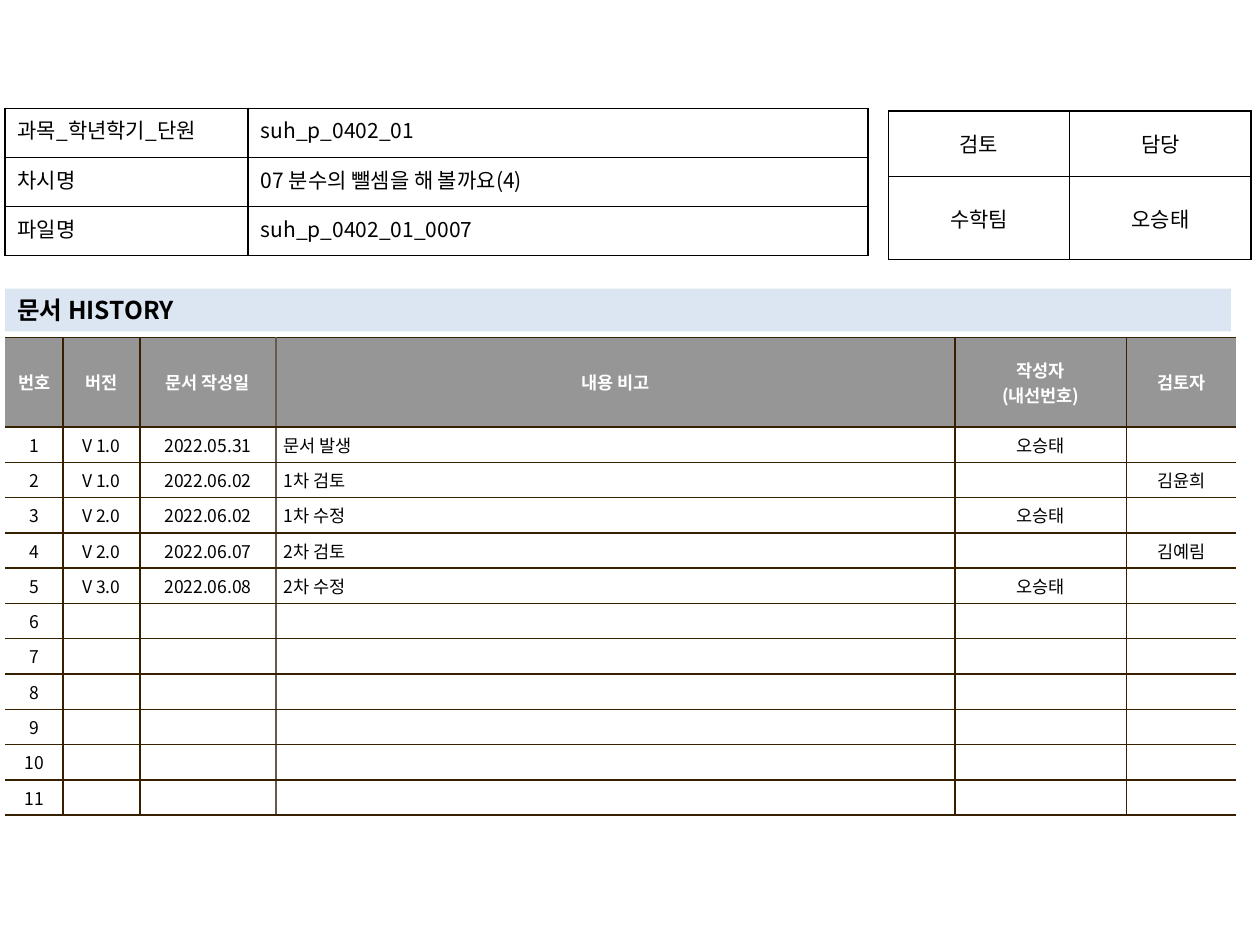
from lxml.etree import SubElement
from pptx import Presentation
from pptx.dml.color import RGBColor
from pptx.enum.shapes import MSO_SHAPE
from pptx.enum.text import MSO_ANCHOR, PP_ALIGN
from pptx.oxml.ns import qn
from pptx.util import Inches, Pt

FONT = "Noto Sans CJK KR"
BLACK = RGBColor(0x00, 0x00, 0x00)
WHITE = RGBColor(0xFF, 0xFF, 0xFF)
GRAY = RGBColor(0x96, 0x96, 0x96)
PALE_BLUE = RGBColor(0xDC, 0xE6, 0xF2)
BROWN = RGBColor(0x36, 0x20, 0x00)
TAUPE = RGBColor(0x64, 0x5B, 0x4C)

LEFT, CENTER, JUSTIFY = PP_ALIGN.LEFT, PP_ALIGN.CENTER, PP_ALIGN.JUSTIFY
TOP, MIDDLE = MSO_ANCHOR.TOP, MSO_ANCHOR.MIDDLE

HISTORY_HEAD = ["번호", "버전", "문서 작성일", "내용 비고", "작성자\n(내선번호)", "검토자"]
HISTORY = [
    ["V 1.0", "2022.05.31", "문서 발생", "오승태", ""],
    ["V 1.0", "2022.06.02", "1차 검토", "", "김윤희"],
    ["V 2.0", "2022.06.02", "1차 수정", "오승태", ""],
    ["V 2.0", "2022.06.07", "2차 검토", "", "김예림"],
    ["V 3.0", "2022.06.08", "2차 수정", "오승태", ""],
]
HISTORY_ROWS = 11


def style_text(tf, size, color=BLACK, bold=False, align=LEFT):
    for p in tf.paragraphs:
        p.alignment = align
        p.font.size = Pt(size)
        p.font.bold = bold
        p.font.color.rgb = color
        p.font.name = FONT
        SubElement(p.font._rPr, qn("a:ea"), typeface=FONT)
        if not p.text:  # keeps an empty cell as low as a filled one
            SubElement(p._p, qn("a:endParaRPr"), sz=str(size * 100))


def set_borders(cell, colors):
    """Draw 1 pt borders; colors run left, right, top, bottom, None for no line."""
    tc_pr = cell._tc.get_or_add_tcPr()
    for side, color in zip("LRTB", colors):
        ln = SubElement(tc_pr, qn(f"a:ln{side}"), w=str(Pt(1)))
        if color is None:
            SubElement(ln, qn("a:noFill"))
        else:
            fill = SubElement(ln, qn("a:solidFill"))
            SubElement(fill, qn("a:srgbClr"), val=str(color))


def add_grid(slide, left, top, widths, heights, rows, margins, anchor):
    """Place a plain table with its texts and return it."""
    frame = slide.shapes.add_table(
        len(heights), len(widths), Inches(left), Inches(top),
        Inches(sum(widths)), Inches(sum(heights)))
    table = frame.table
    table.first_row = table.horz_banding = False
    for column, width in zip(table.columns, widths):
        column.width = Inches(width)
    for row, height, texts in zip(table.rows, heights, rows):
        row.height = Inches(height)
        for cell, text in zip(row.cells, texts):
            cell.text = text
            cell.vertical_anchor = anchor
            cell.margin_left = cell.margin_right = Inches(margins[0])
            cell.margin_top = cell.margin_bottom = Inches(margins[1])
    return table


def add_black_grid(slide, left, top, widths, heights, rows, aligns, anchor):
    table = add_grid(slide, left, top, widths, heights, rows, (0.1, 0.05), anchor)
    for row in table.rows:
        for cell, align in zip(row.cells, aligns):
            set_borders(cell, [BLACK] * 4)
            cell.fill.background()
            style_text(cell.text_frame, 12, align=align)


def add_file_info(slide, left, top):
    rows = [
        ["과목_학년학기_단원", "suh_p_0402_01"],
        ["차시명", "07 분수의 뺄셈을 해 볼까요(4)"],
        ["파일명", "suh_p_0402_01_0007"],
    ]
    add_black_grid(slide, left, top, [1.93, 4.92], [0.39] * 3, rows,
                   [JUSTIFY, LEFT], TOP)


def add_approval(slide, left, top):
    rows = [["검토", "담당"], ["수학팀", "오승태"]]
    add_black_grid(slide, left, top, [1.44] * 2, [0.52, 0.66], rows,
                   [CENTER] * 2, MIDDLE)


def add_history_title(slide, left, top, width, height):
    sp = slide.shapes.add_shape(MSO_SHAPE.RECTANGLE, Inches(left), Inches(top),
                                Inches(width), Inches(height))
    sp.shadow.inherit = False
    sp.fill.solid()
    sp.fill.fore_color.rgb = PALE_BLUE
    sp.line.fill.background()
    tf = sp.text_frame
    tf.word_wrap = True
    tf.vertical_anchor = TOP
    tf.text = "문서 HISTORY"
    style_text(tf, 14, bold=True)


def add_history(slide, left, top):
    blank = [""] * 5
    rows = [HISTORY_HEAD]
    for i in range(HISTORY_ROWS):
        rows.append([str(i + 1)] + (HISTORY[i] if i < len(HISTORY) else blank))
    table = add_grid(slide, left, top, [0.46, 0.61, 1.08, 5.39, 1.36, 0.87],
                     [0.71] + [0.25] * HISTORY_ROWS, rows, (0.06, 0.04), MIDDLE)
    # Vertical lines from left to right; the outer sides stay open
    lines = [None, BROWN, BROWN, TAUPE, BROWN, BROWN, None]
    for r, row in enumerate(table.rows):
        head = r == 0
        for c, cell in enumerate(row.cells):
            set_borders(cell, [lines[c], lines[c + 1], BROWN, BROWN])
            cell.fill.solid()
            cell.fill.fore_color.rgb = GRAY if head else WHITE
            style_text(cell.text_frame, 10, WHITE if head else BLACK, head,
                       LEFT if c == 3 and not head else CENTER)


def main():
    prs = Presentation()
    prs.slide_width, prs.slide_height = Inches(10), Inches(7.5)
    slide = prs.slides.add_slide(prs.slide_layouts[6])
    add_history(slide, 0.04, 2.68)
    add_approval(slide, 7.05, 0.88)
    add_history_title(slide, 0.04, 2.29, 9.73, 0.34)
    add_file_info(slide, 0.04, 0.86)
    prs.save("out.pptx")


if __name__ == "__main__":
    main()
